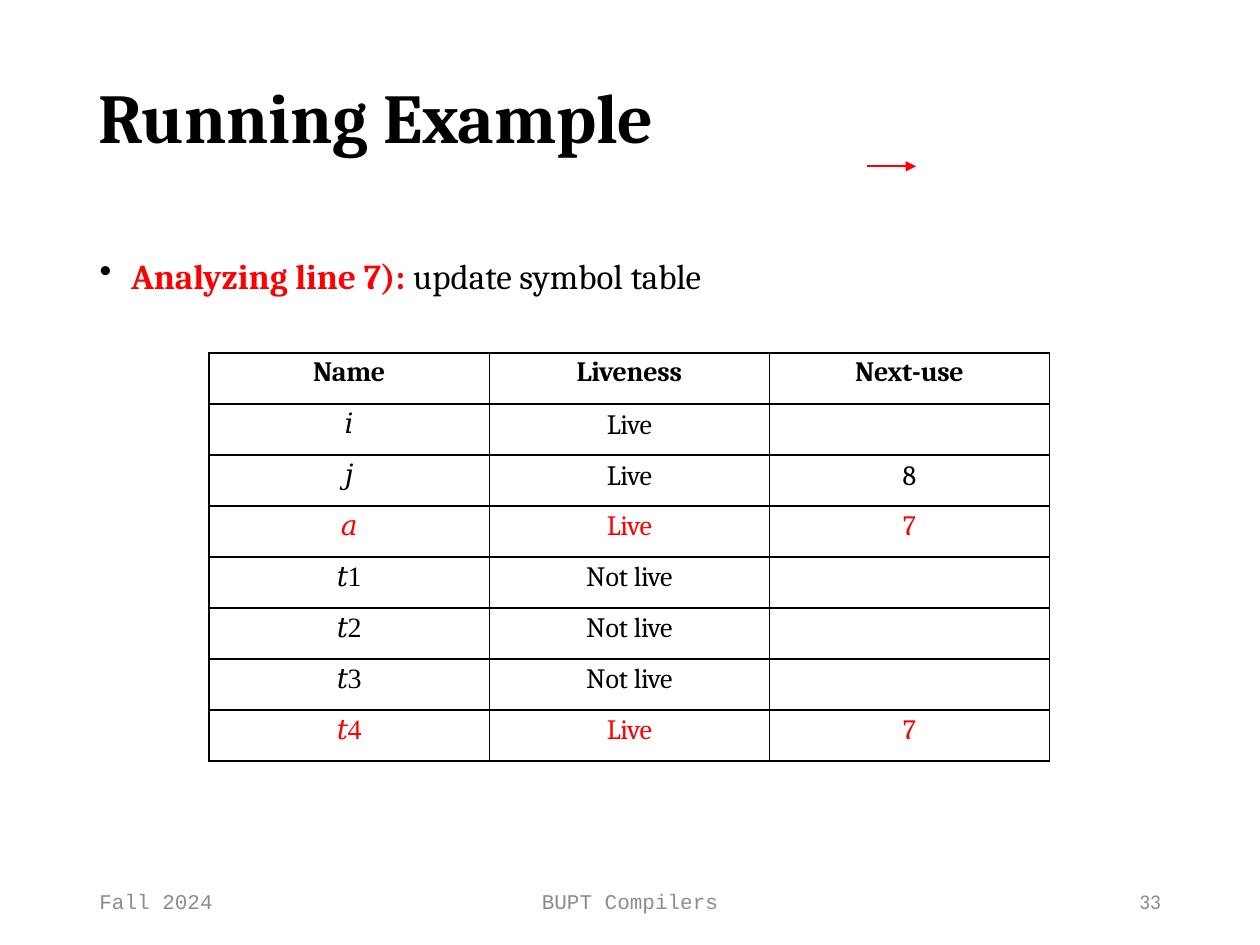
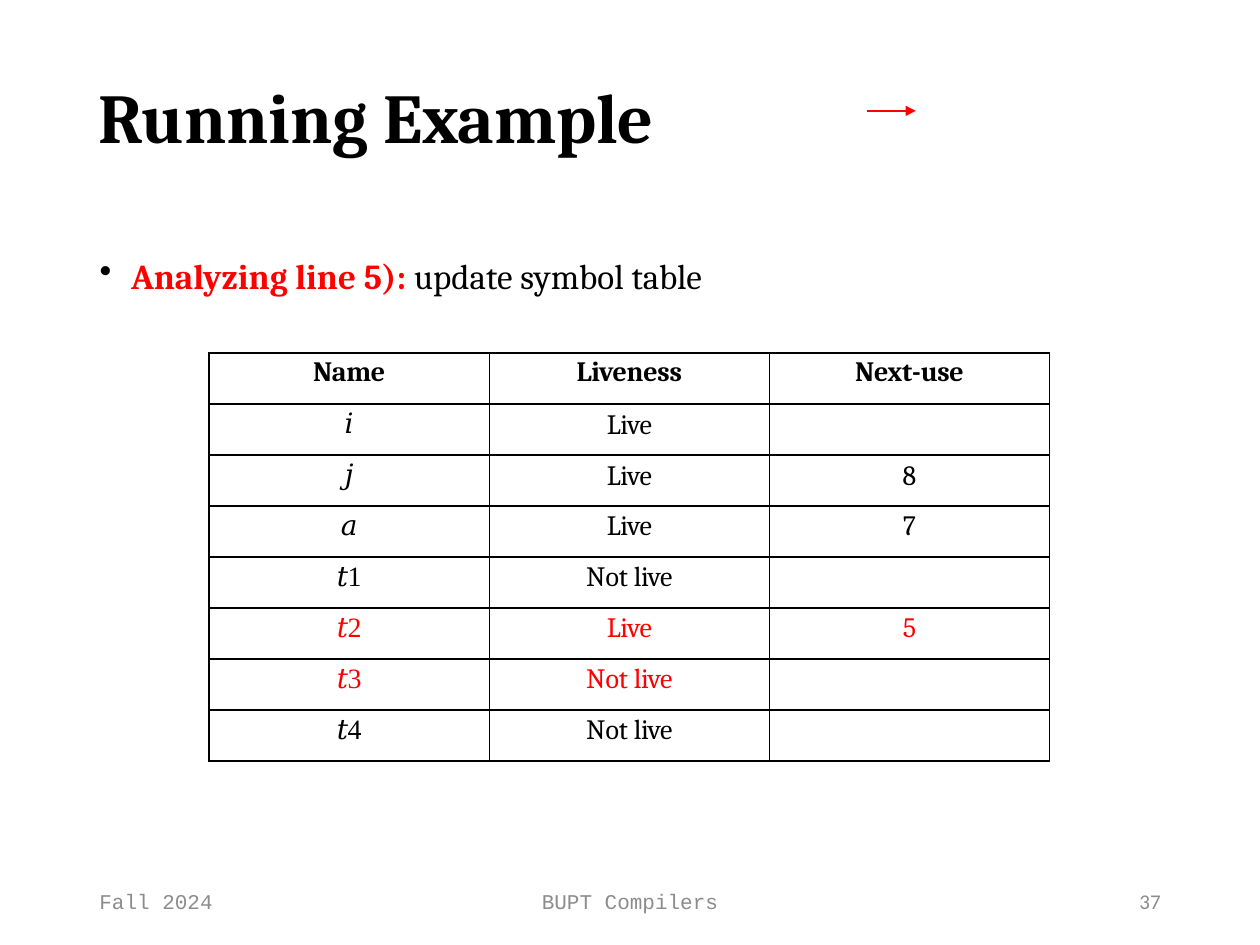
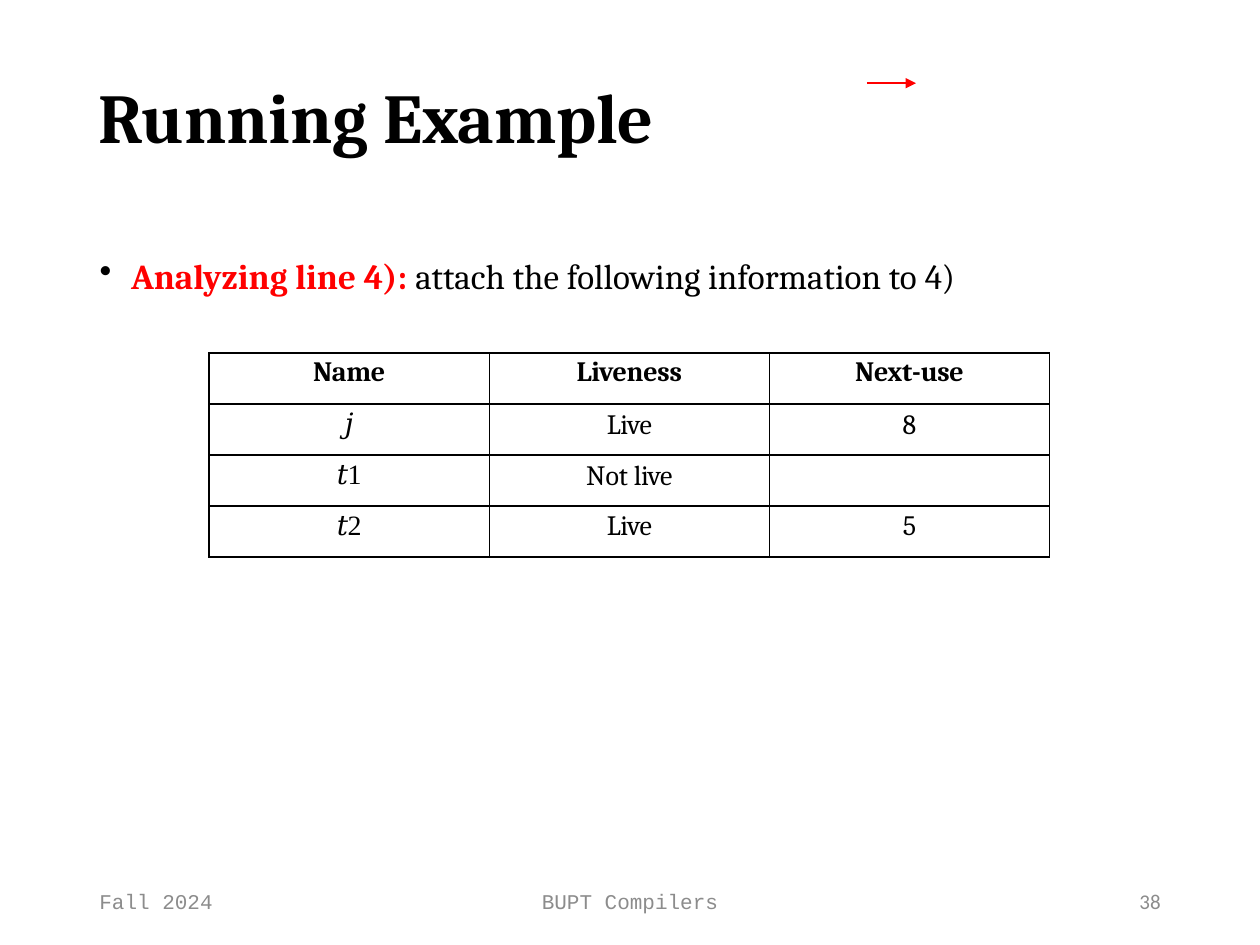
from lxml import etree
from pptx import Presentation
from pptx.dml.color import RGBColor
from pptx.enum.shapes import MSO_CONNECTOR
from pptx.enum.text import MSO_ANCHOR, MSO_AUTO_SIZE, PP_ALIGN
from pptx.oxml.ns import qn
from pptx.util import Inches, Pt

BLACK = RGBColor(0x00, 0x00, 0x00)
RED = RGBColor(0xFF, 0x00, 0x00)
GRAY = RGBColor(0x8C, 0x8C, 0x8C)

SERIF = "Cambria"
MATH = "Times New Roman"
MONO = "Courier New"
SANS = "Calibri"

FULL_TABLE_HEIGHT = 3.24
FULL_TABLE_ROWS = 8

HEADERS = [
    [("Name", -0.2)],
    [("Liveness", -0.1)],
    [("Next-", -0.1), ("use", -0.2)],
]
LIVE = [("Live", -0.2)]
NOT_LIVE = [("Not", 0), (" live", -0.2)]


class Lecture:
    """Holds the shared style and the current slide."""

    def __init__(self):
        self.deck = Presentation()
        self.deck.slide_width = Inches(10)
        self.deck.slide_height = Inches(7.5)
        self.page = None

    def add_page(self, number):
        self.page = self.deck.slides.add_slide(self.deck.slide_layouts[5])
        self.footer("Fall 2024", 0.69, 2.25, PP_ALIGN.LEFT)
        self.footer("BUPT Compilers", 3.31, 3.38, PP_ALIGN.CENTER)
        self.footer(str(number), 7.06, 2.25, PP_ALIGN.RIGHT, SANS)

    def add_run(self, para, text, size, color=BLACK, bold=False, font=SERIF, spacing=0):
        span = para.add_run()
        span.text = text
        span.font.name = font
        span.font.size = Pt(size)
        span.font.bold = bold
        span.font.color.rgb = color
        if spacing:
            span.font._element.set("spc", str(round(spacing * 100)))

    def set_frame(self, frame):
        frame.word_wrap = True
        frame.auto_size = MSO_AUTO_SIZE.NONE
        frame.vertical_anchor = MSO_ANCHOR.TOP
        frame.margin_left = frame.margin_right = frame.margin_bottom = 0
        frame.margin_top = Inches(0.01)

    def footer(self, text, left, width, align, font=MONO):
        box = self.page.shapes.add_textbox(
            Inches(left), Inches(6.95), Inches(width), Inches(0.4))
        frame = box.text_frame
        frame.word_wrap = True
        frame.vertical_anchor = MSO_ANCHOR.MIDDLE
        para = frame.paragraphs[0]
        para.alignment = align
        self.add_run(para, text, 12, GRAY, font=font)

    def title(self):
        box = self.page.shapes.title
        box.left, box.top = Inches(0.77), Inches(0.57)
        box.width, box.height = Inches(8.45), Inches(0.69)
        self.set_frame(box.text_frame)
        box.text_frame.margin_left = Inches(0.01)
        para = box.text_frame.paragraphs[0]
        para.alignment = PP_ALIGN.LEFT
        self.add_run(para, "Running ", 40, bold=True)
        self.add_run(para, "Example", 40, bold=True, spacing=-0.1)

    def bullet(self, lead, text, ending, ending_spacing, width):
        box = self.page.shapes.add_textbox(
            Inches(0.77), Inches(2.01), Inches(width), Inches(0.36))
        self.set_frame(box.text_frame)
        para = box.text_frame.paragraphs[0]
        properties = para._p.get_or_add_pPr()
        properties.set("marL", str(Inches(0.27)))
        properties.set("indent", str(Inches(-0.25)))
        color = etree.SubElement(properties, qn("a:buClr"))
        etree.SubElement(color, qn("a:srgbClr"), val=str(BLACK))
        etree.SubElement(properties, qn("a:buChar"), char="•")
        self.add_run(para, lead, 20, RED, bold=True)
        self.add_run(para, text, 20)
        self.add_run(para, ending, 20, spacing=ending_spacing)

    def cell(self, cell, parts, color=BLACK, bold=False, font=SERIF):
        cell.margin_left = cell.margin_right = cell.margin_bottom = 0
        cell.margin_top = Inches(0.03 if bold else 0.04)
        cell.vertical_anchor = MSO_ANCHOR.TOP
        properties = cell._tc.get_or_add_tcPr()
        for side in ("lnL", "lnR", "lnT", "lnB"):
            border = etree.SubElement(properties, qn(f"a:{side}"), w=str(Pt(1)))
            fill = etree.SubElement(border, qn("a:solidFill"))
            etree.SubElement(fill, qn("a:srgbClr"), val=str(BLACK))
        cell.fill.background()
        para = cell.text_frame.paragraphs[0]
        para.alignment = PP_ALIGN.CENTER
        for text, spacing in parts:
            self.add_run(para, text, 16, color, bold, font, spacing)

    def symbol_table(self, symbols, changed=()):
        count = len(symbols) + 1
        height = Inches(FULL_TABLE_HEIGHT * count / FULL_TABLE_ROWS)
        table = self.page.shapes.add_table(
            count, 3, Inches(1.66), Inches(2.8), Inches(6.67), height).table
        table.first_row = table.horz_banding = False
        for column, parts in enumerate(HEADERS):
            self.cell(table.cell(0, column), parts, bold=True)
        for row, (name, liveness, next_use) in enumerate(symbols, 1):
            color = RED if name in changed else BLACK
            name_spacing = -0.5 if len(name) == 1 else -0.2
            use_parts = [(next_use, -0.5)] if next_use else []
            self.cell(table.cell(row, 0), [(name, name_spacing)], color, font=MATH)
            self.cell(table.cell(row, 1), liveness, color)
            self.cell(table.cell(row, 2), use_parts, color)

    def line_arrow(self, height):
        arrow = self.page.shapes.add_connector(
            MSO_CONNECTOR.STRAIGHT,
            Inches(6.88), Inches(height), Inches(7.27), Inches(height))
        arrow.line.color.rgb = RED
        arrow.line.width = Pt(1.25)
        etree.SubElement(arrow.line._get_or_add_ln(), qn("a:tailEnd"), type="triangle")
        etree.SubElement(arrow._element.spPr, qn("a:effectLst"))


def main():
    lecture = Lecture()

    # Symbol table after line 7
    lecture.add_page(33)
    lecture.title()
    lecture.bullet("Analyzing line 7): ", "update symbol ", "table", -0.1, 5.12)
    lecture.symbol_table([
        ("𝑖", LIVE, ""),
        ("𝑗", LIVE, "8"),
        ("𝑎", LIVE, "7"),
        ("𝑡1", NOT_LIVE, ""),
        ("𝑡2", NOT_LIVE, ""),
        ("𝑡3", NOT_LIVE, ""),
        ("𝑡4", LIVE, "7"),
    ], changed=("𝑎", "𝑡4"))
    lecture.line_arrow(1.32)

    # Symbol table after line 5
    lecture.add_page(37)
    lecture.title()
    lecture.bullet("Analyzing line 5): ", "update symbol ", "table", -0.1, 5.12)
    lecture.symbol_table([
        ("𝑖", LIVE, ""),
        ("𝑗", LIVE, "8"),
        ("𝑎", LIVE, "7"),
        ("𝑡1", NOT_LIVE, ""),
        ("𝑡2", LIVE, "5"),
        ("𝑡3", NOT_LIVE, ""),
        ("𝑡4", NOT_LIVE, ""),
    ], changed=("𝑡2", "𝑡3"))
    lecture.line_arrow(0.88)

    # Information attached to line 4
    lecture.add_page(38)
    lecture.title()
    lecture.bullet("Analyzing line 4): ", "attach the following information to ",
                   "4)", -0.2, 7.21)
    lecture.symbol_table([
        ("𝑗", LIVE, "8"),
        ("𝑡1", NOT_LIVE, ""),
        ("𝑡2", LIVE, "5"),
    ])
    lecture.line_arrow(0.66)

    lecture.deck.save("out.pptx")


if __name__ == "__main__":
    main()
